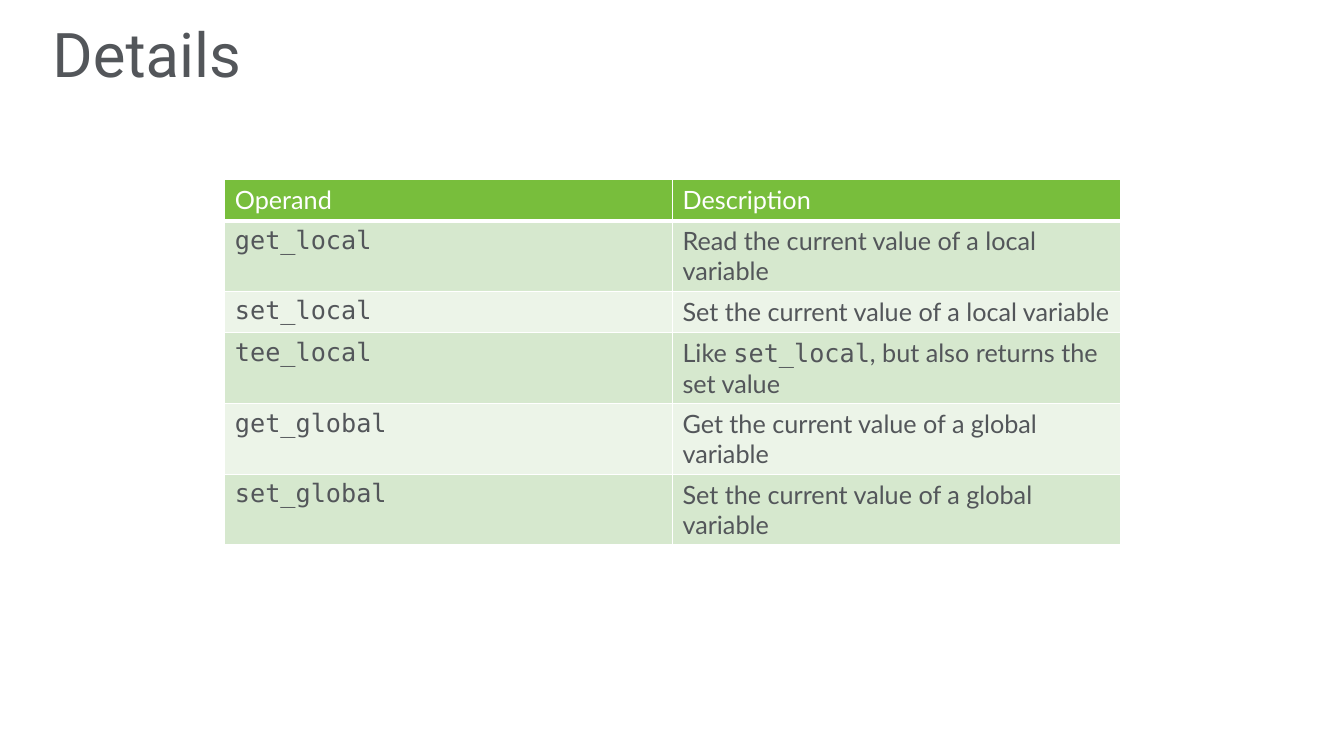
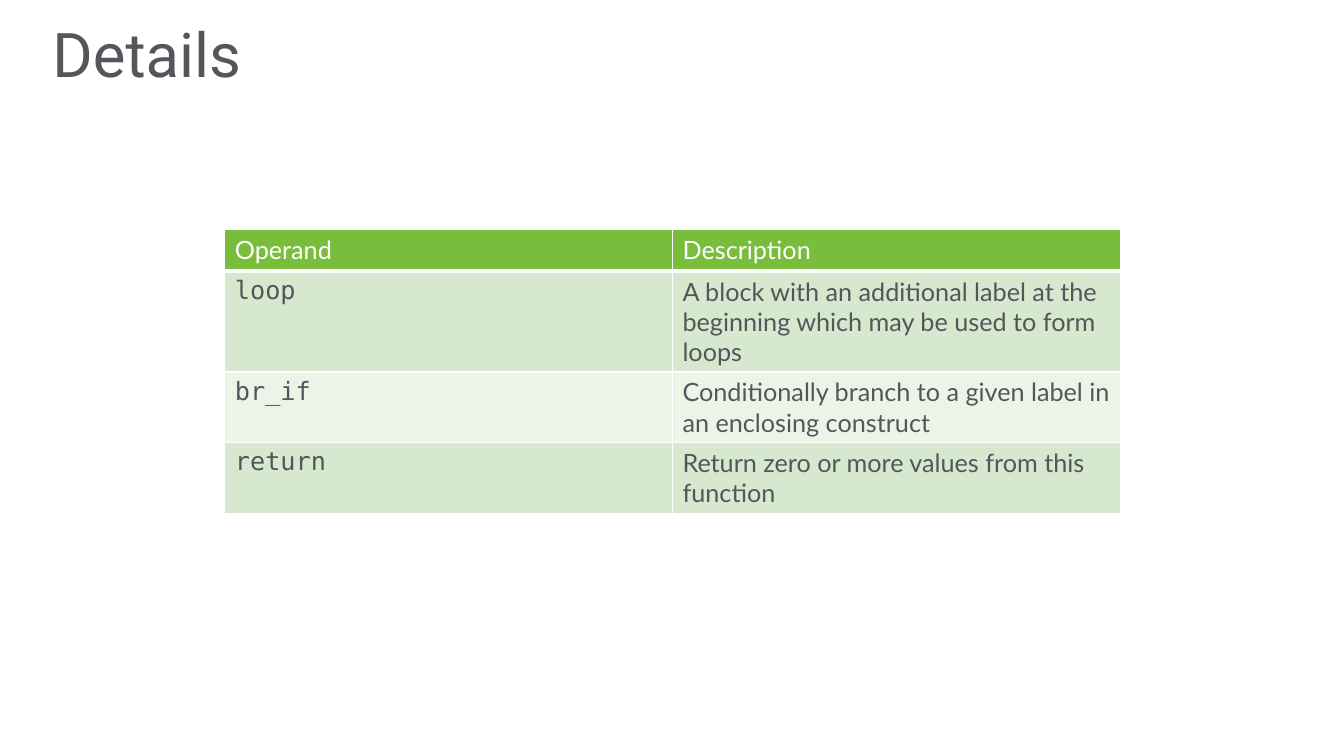
from dataclasses import dataclass

from lxml.etree import SubElement
from pptx import Presentation
from pptx.dml.color import RGBColor as RGB
from pptx.enum.text import MSO_ANCHOR as Anchor, MSO_AUTO_SIZE as AutoSize, PP_ALIGN as Align
from pptx.oxml.ns import qn
from pptx.util import Emu, Pt

EMU_PER_PX = 9144


@dataclass(frozen=True)
class Theme:
    ink: RGB = RGB(0x53, 0x56, 0x5A)
    white: RGB = RGB(0xFF, 0xFF, 0xFF)
    header: RGB = RGB(0x78, 0xBE, 0x3C)
    bands: tuple[RGB, RGB] = (RGB(0xD6, 0xE8, 0xCE), RGB(0xEC, 0xF4, 0xE8))
    title_font: str = "Roboto"
    body_font: str = "Lato"
    code_font: str = "DejaVu Sans Mono"
    title_size: int = 44
    body_size: int = 18
    border: int = 1
    header_border: int = 3


@dataclass(frozen=True)
class Span:
    text: str
    code: bool = False


@dataclass(frozen=True)
class Operand:
    name: str
    description: tuple[Span, ...]


@dataclass(frozen=True)
class DetailSlide:
    table_top: int
    operands: tuple[Operand, ...]


THEME = Theme()
SLIDE_W, SLIDE_H = 1333, 750
TITLE_BOX = (42, 28, 1249, 59)
TABLE_LEFT, COLUMN_W, ROW_H = 223, 444, 41
HEADINGS = ("Operand", "Description")

SLIDES = (
    DetailSlide(178, (
        Operand("get_local", (Span("Read the current value of a local variable"),)),
        Operand("set_local", (Span("Set the current value of a local variable"),)),
        Operand("tee_local", (Span("Like "), Span("set_local", True),
                              Span(", but also returns the set value"))),
        Operand("get_global", (Span("Get the current value of a global variable"),)),
        Operand("set_global", (Span("Set the current value of a global variable"),)),
    )),
    DetailSlide(228, (
        Operand("loop", (Span("A block with an additional label at the beginning "
                              "which may be used to form loops"),)),
        Operand("br_if", (Span("Conditionally branch to a given label in an "
                               "enclosing construct"),)),
        Operand("return", (Span("Return zero or more values from this function"),)),
    )),
)


def px(n: int) -> Emu:
    return Emu(n * EMU_PER_PX)


def style_run(r, font: str, size: int, color: RGB) -> None:
    r.font.name = font
    r.font.size = Pt(size)
    r.font.bold = False
    r.font.color.rgb = color


def add_title(s, text: str) -> None:
    sp = s.shapes.title
    sp.left, sp.top, sp.width, sp.height = map(px, TITLE_BOX)
    tf = sp.text_frame
    tf.text = text
    tf.auto_size = AutoSize.NONE
    tf.vertical_anchor = Anchor.MIDDLE
    p = tf.paragraphs[0]
    p.alignment = Align.LEFT
    p.line_spacing = 0.9
    style_run(p.runs[0], THEME.title_font, THEME.title_size, THEME.ink)


def set_borders(cell, bottom: int) -> None:
    tc_pr = cell._tc.get_or_add_tcPr()
    widths = {"a:lnL": THEME.border, "a:lnR": THEME.border,
              "a:lnT": THEME.border, "a:lnB": bottom}
    for tag, width in widths.items():
        ln = SubElement(tc_pr, qn(tag), w=str(Pt(width)))
        fill = SubElement(ln, qn("a:solidFill"))
        SubElement(fill, qn("a:srgbClr"), val=str(THEME.white))


def fill_cell(cell, spans: tuple[Span, ...], fill: RGB, color: RGB, bottom: int) -> None:
    set_borders(cell, bottom)
    cell.fill.solid()
    cell.fill.fore_color.rgb = fill
    p = cell.text_frame.paragraphs[0]
    for span in spans:
        r = p.add_run()
        r.text = span.text
        style_run(r, THEME.code_font if span.code else THEME.body_font,
                  THEME.body_size, color)


def add_operand_table(s, top: int, operands: tuple[Operand, ...]) -> None:
    rows, cols = len(operands) + 1, len(HEADINGS)
    table = s.shapes.add_table(rows, cols, px(TABLE_LEFT), px(top),
                               px(COLUMN_W * cols), px(ROW_H * rows)).table
    table.horz_banding = False
    for col, heading in enumerate(HEADINGS):
        fill_cell(table.cell(0, col), (Span(heading),), THEME.header,
                  THEME.white, THEME.header_border)
    for row, operand in enumerate(operands, start=1):
        band = THEME.bands[(row - 1) % len(THEME.bands)]
        for col, spans in enumerate(((Span(operand.name, True),), operand.description)):
            fill_cell(table.cell(row, col), spans, band, THEME.ink, THEME.border)


def main() -> None:
    prs = Presentation()
    prs.slide_width, prs.slide_height = px(SLIDE_W), px(SLIDE_H)
    title_only = prs.slide_layouts.get_by_name("Title Only")
    for detail in SLIDES:
        s = prs.slides.add_slide(title_only)
        add_title(s, "Details")
        add_operand_table(s, detail.table_top, detail.operands)
    prs.save("out.pptx")


if __name__ == "__main__":
    main()
